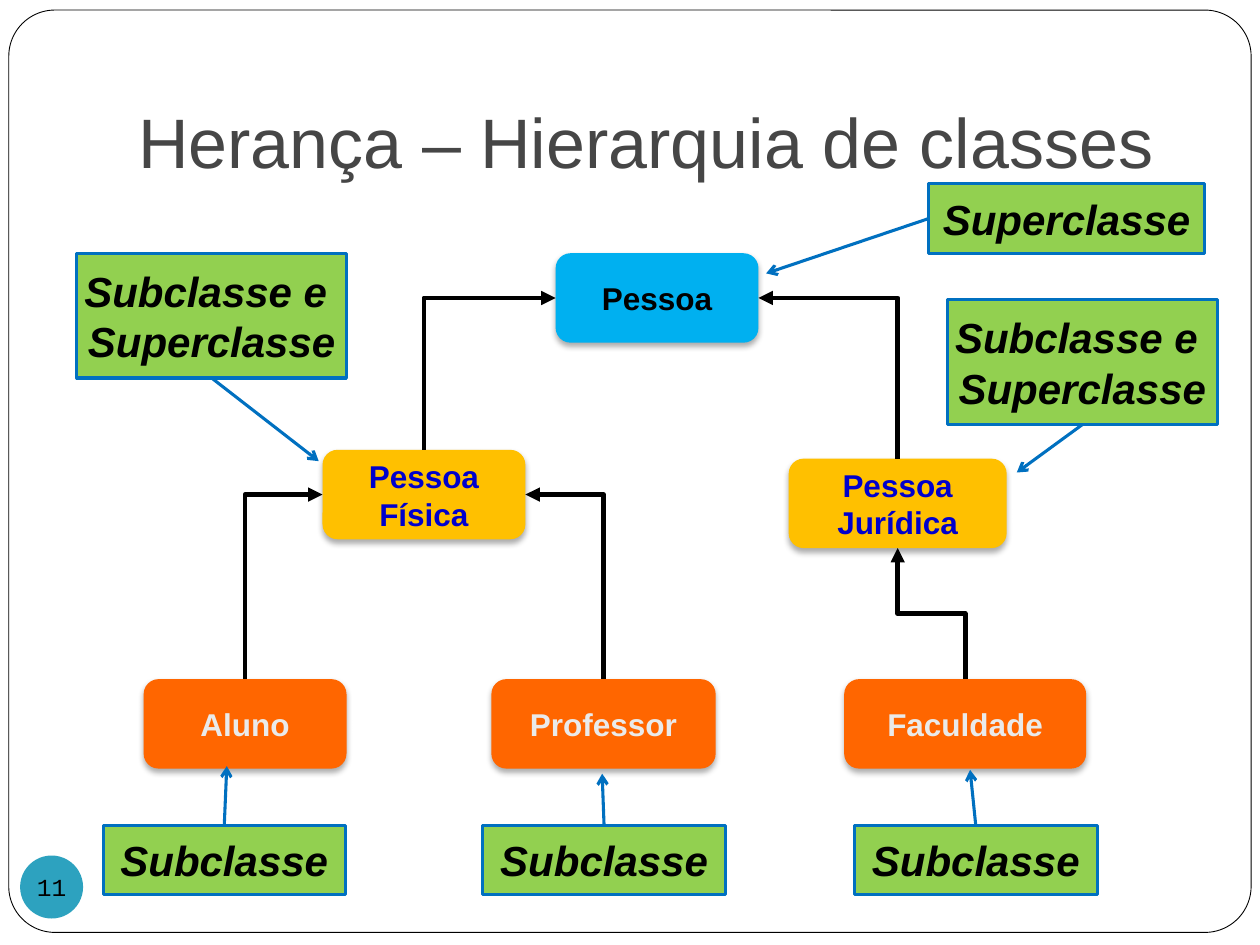
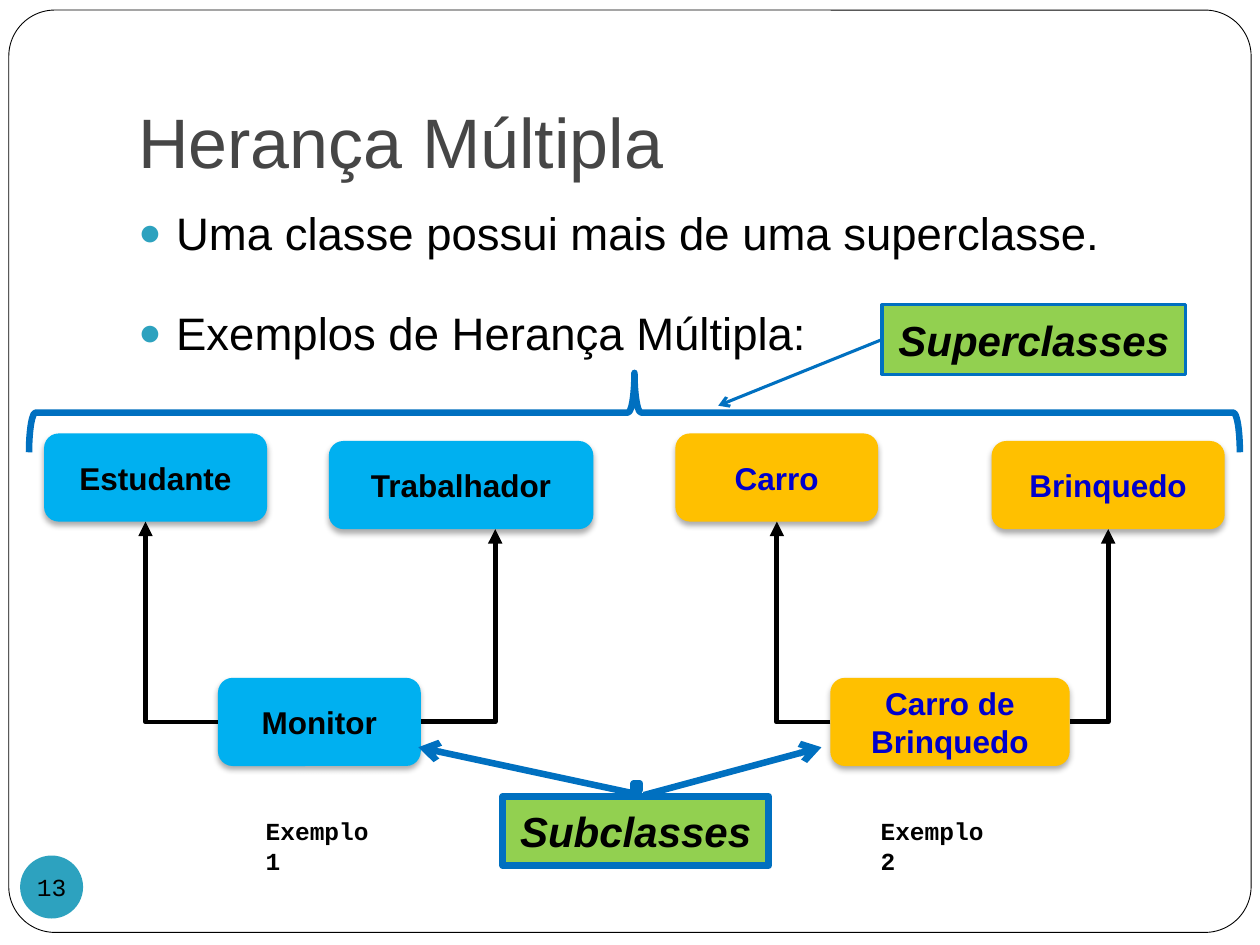
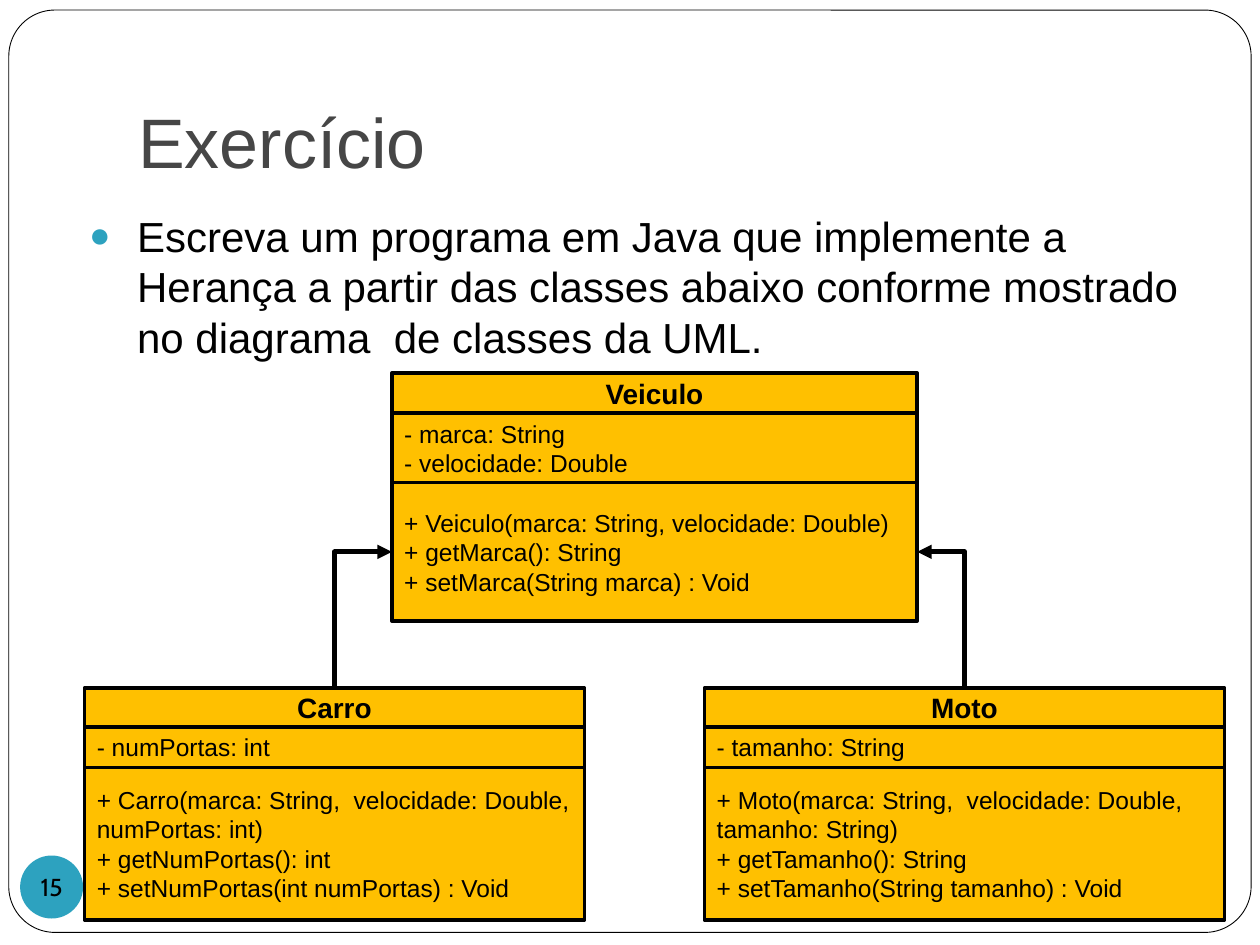
from dataclasses import dataclass
from typing import NamedTuple

from lxml import etree
from pptx import Presentation
from pptx.dml.color import RGBColor
from pptx.enum.shapes import MSO_CONNECTOR as CONNECTOR, MSO_SHAPE as SHAPE
from pptx.enum.text import MSO_ANCHOR as ANCHOR, PP_ALIGN as ALIGN
from pptx.oxml.ns import qn
from pptx.util import Inches, Pt


@dataclass(frozen=True)
class Theme:
    white: str = "FFFFFF"
    black: str = "000000"
    title: str = "464646"
    accent: str = "2DA2BF"
    sky: str = "00B0F0"
    amber: str = "FFC000"
    orange: str = "FF6600"
    navy: str = "0000CC"
    pale: str = "EAEAEA"
    green: str = "92D050"
    blue: str = "0070C0"
    font: str = "Arial"
    mono: str = "Courier New"
    number_font: str = "Cabin"
    title_size: float = 40
    callout_size: float = 24
    node_size: float = 18
    class_size: float = 16
    small_size: float = 14
    body_gap: float = 5.8


THEME = Theme()


class Box(NamedTuple):
    left: float
    top: float
    width: float
    height: float

    def side(self, name, shift=0):
        """Middle of a side, optionally shifted sideways."""
        x, y = {"top": (0.5, 0), "left": (0, 0.5),
                "bottom": (0.5, 1), "right": (1, 0.5)}[name]
        return self.left + x * self.width + shift, self.top + y * self.height


FRAME = Box(0.07, 0.08, 9.86, 7.32)
TITLE = Box(1, 0.3, 8.5, 1.25)
PAGE_NUMBER = Box(0.16, 6.79, 0.5, 0.5)

# Node styles: fill, text colour
ROOT = (THEME.sky, THEME.black)
MIDDLE = (THEME.amber, THEME.navy)
LEAF = (THEME.orange, THEME.pale)

# Content: class hierarchy
HIERARCHY_NODES = [
    (["Pessoa"], Box(4.41, 2.01, 1.61, 0.71), ROOT),
    (["Pessoa", "Física"], Box(2.56, 3.57, 1.61, 0.71), MIDDLE),
    (["Pessoa", "Jurídica"], Box(6.26, 3.64, 1.73, 0.71), MIDDLE),
    (["Aluno"], Box(1.14, 5.39, 1.61, 0.71), LEAF),
    (["Professor"], Box(3.9, 5.39, 1.78, 0.71), LEAF),
    (["Faculdade"], Box(6.7, 5.39, 1.92, 0.71), LEAF),
]
# child, side, parent, side, sideways shift of the arrowhead
HIERARCHY_LINKS = [
    ("Pessoa Física", "top", "Pessoa", "left", 0),
    ("Pessoa Jurídica", "top", "Pessoa", "right", 0),
    ("Aluno", "top", "Pessoa Física", "left", 0),
    ("Professor", "top", "Pessoa Física", "right", 0),
    ("Faculdade", "top", "Pessoa Jurídica", "bottom", 0),
]
BOTH_ROLES = ["Subclasse e ", "Superclasse"]
# text, box, side where the pointer leaves, pointer tip
HIERARCHY_CALLOUTS = [
    (["Superclasse"], Box(7.37, 1.46, 2.19, 0.55), "left", (6.08, 2.17)),
    (BOTH_ROLES, Box(0.61, 2.01, 2.14, 0.99), "bottom", (2.53, 3.66)),
    (BOTH_ROLES, Box(7.52, 2.38, 2.14, 0.99), "bottom", (8.07, 3.75)),
    (["Subclasse"], Box(0.82, 6.55, 1.92, 0.55), "top", (1.8, 6.08)),
    (["Subclasse"], Box(3.83, 6.55, 1.93, 0.55), "top", (4.78, 6.14)),
    (["Subclasse"], Box(6.78, 6.55, 1.93, 0.55), "top", (7.7, 6.11)),
]

# Content: multiple inheritance
MULTIPLE_POINTS = ["Uma classe possui mais de uma superclasse.",
                   "Exemplos de Herança Múltipla:"]
MULTIPLE_NODES = [
    (["Estudante"], Box(0.35, 3.44, 1.77, 0.7), ROOT),
    (["Trabalhador"], Box(2.61, 3.5, 2.1, 0.7), ROOT),
    (["Monitor"], Box(1.73, 5.38, 1.61, 0.7), ROOT),
    (["Carro"], Box(5.36, 3.44, 1.61, 0.7), MIDDLE),
    (["Brinquedo"], Box(7.87, 3.5, 1.85, 0.7), MIDDLE),
    (["Carro de Brinquedo"], Box(6.59, 5.38, 1.9, 0.7), MIDDLE),
]
MULTIPLE_LINKS = [
    ("Monitor", "left", "Estudante", "bottom", -0.08),
    ("Monitor", "right", "Trabalhador", "bottom", 0.27),
    ("Carro de Brinquedo", "left", "Carro", "bottom", 0),
    ("Carro de Brinquedo", "right", "Brinquedo", "bottom", 0),
]
EXAMPLES = [("Exemplo 1", 2.01), ("Exemplo 2", 6.89)]

# Content: exercise
EXERCISE = ("Escreva um programa em Java que implemente a Herança a partir das "
            "classes abaixo conforme mostrado no diagrama  de classes da UML.")
# name, left, top, width, compartment heights, attributes, methods
UML_CLASSES = [
    ("Veiculo", 3.11, 2.96, 4.17, (0.32, 0.55, 1.1),
     ["- marca: String", "- velocidade: Double"],
     ["+ Veiculo(marca: String, velocidade: Double)",
      "+ getMarca(): String", "+ setMarca(String marca) : Void"]),
    ("Moto", 5.59, 5.46, 4.13, (0.31, 0.32, 1.21),
     ["- tamanho: String"],
     ["+ Moto(marca: String,  velocidade: Double, tamanho: String)",
      "+ getTamanho(): String", "+ setTamanho(String tamanho) : Void"]),
    ("Carro", 0.67, 5.46, 3.97, (0.31, 0.32, 1.21),
     ["- numPortas: int"],
     ["+ Carro(marca: String,  velocidade: Double, numPortas: int)",
      "+ getNumPortas(): int", "+ setNumPortas(int numPortas) : Void"]),
]
UML_LINKS = [("Carro", "left"), ("Moto", "right")]


def rgb(code):
    return RGBColor.from_string(code)


def add_xml(parent, tag, **attributes):
    return etree.SubElement(parent, qn(tag), attributes)


def emu(box):
    return [Inches(length) for length in box]


def write(shape, lines, *, size, color=THEME.black, font=THEME.font, bold=False,
          italic=False, align=ALIGN.LEFT, anchor=ANCHOR.MIDDLE, wrap=True,
          insets=(0.1, 0.05, 0.1, 0.05), gaps=None):
    """Put one paragraph per line into a shape; gaps are points before each."""
    frame = shape.text_frame
    frame.word_wrap = wrap
    frame.vertical_anchor = anchor
    (frame.margin_left, frame.margin_top,
     frame.margin_right, frame.margin_bottom) = emu(insets)
    for index, line in enumerate(lines):
        paragraph = frame.add_paragraph() if index else frame.paragraphs[0]
        paragraph.alignment = align
        if gaps:
            paragraph.space_before = Pt(gaps[index])
        run = paragraph.add_run()
        run.text = line
        run.font.size = Pt(size)
        run.font.name = font
        run.font.bold = bold
        run.font.italic = italic
        run.font.color.rgb = rgb(color)
    return shape


def add_text(slide, box, lines, **text_format):
    return write(slide.shapes.add_textbox(*emu(box)), lines, **text_format)


def add_block(slide, kind, box, fill=None, line=None, weight=1):
    block = slide.shapes.add_shape(kind, *emu(box))
    block.shadow.inherit = False
    if fill:
        block.fill.solid()
        block.fill.fore_color.rgb = rgb(fill)
    else:
        block.fill.background()
    if line:
        block.line.color.rgb = rgb(line)
        block.line.width = Pt(weight)
    else:
        block.line.fill.background()
    return block


def add_arrowhead(shape, kind):
    add_xml(shape.line._get_or_add_ln(), "a:tailEnd", type=kind)


def add_bullets(slide, box, lines, *, size, hang, indent, gaps):
    body = add_text(slide, box, lines, size=size, anchor=ANCHOR.TOP, gaps=gaps)
    for paragraph in body.text_frame.paragraphs:
        properties = paragraph._p.get_or_add_pPr()
        properties.set("marL", str(Inches(indent)))
        properties.set("indent", str(-Inches(hang)))
        add_xml(add_xml(properties, "a:buClr"), "a:srgbClr", val=THEME.accent)
        add_xml(properties, "a:buSzPct", val="85000")
        add_xml(properties, "a:buFont", typeface=THEME.font)
        add_xml(properties, "a:buChar", char="●")


def add_node(slide, lines, box, style):
    fill, color = style
    node = add_block(slide, SHAPE.ROUNDED_RECTANGLE, box, fill)
    effects = node._element.spPr.find(qn("a:effectLst"))
    shadow = add_xml(effects, "a:outerShdw", blurRad=str(Pt(3.5)),
                     dist=str(Pt(2.2)), dir="5400000", rotWithShape="0")
    add_xml(add_xml(shadow, "a:srgbClr", val=THEME.black), "a:alpha", val="32000")
    write(node, lines, size=THEME.node_size, color=color, bold=True,
          align=ALIGN.CENTER)


def add_callout(slide, lines, box, start, tip, fill=THEME.green, weight=1.75):
    callout = add_block(slide, SHAPE.LINE_CALLOUT_1, box, fill, THEME.blue, weight)
    ratios = [ratio for x, y in (start, tip)
              for ratio in ((y - box.top) / box.height, (x - box.left) / box.width)]
    for index, ratio in enumerate(ratios):
        callout.adjustments[index] = ratio
    add_arrowhead(callout, "arrow")
    if lines:
        write(callout, lines, size=THEME.callout_size, bold=True, italic=True,
              align=ALIGN.CENTER, wrap=False)


def add_elbow(slide, start, end, bends=1, upright=True):
    """Elbow arrow going up; upright ones leave their start vertically."""
    (x1, y1), (x2, y2) = start, end
    link = slide.shapes.add_connector(CONNECTOR.ELBOW, *emu((x1, y1, x2, y2)))
    link.line.color.rgb = rgb(THEME.black)
    link.line.width = Pt(2.75)
    add_arrowhead(link, "triangle")
    properties = link._element.spPr
    add_xml(properties, "a:effectLst")
    properties.find(qn("a:prstGeom")).set("prst", f"bentConnector{bends + 1}")

    # The preset leaves its start horizontally, so upright ones are turned
    leftward = x2 < x1
    width, height = abs(x2 - x1), abs(y2 - y1)
    if upright:
        width, height = height, width
        turn, flip = 270, leftward
    else:
        turn, flip = (180, False) if leftward else (0, True)
    link.left, link.top, link.width, link.height = emu(
        ((x1 + x2 - width) / 2, (y1 + y2 - height) / 2, width, height))
    transform = properties.find(qn("a:xfrm"))
    transform.set("rot", str(turn * 60000))
    transform.set("flipH", "0")
    transform.set("flipV", str(int(flip)))


def add_diagram(slide, nodes, links):
    boxes = {" ".join(lines): box for lines, box, _ in nodes}
    for node in nodes:
        add_node(slide, *node)
    for child, leaving, parent, arriving, shift in links:
        upright = leaving == "top"
        add_elbow(slide, boxes[child].side(leaving),
                  boxes[parent].side(arriving, shift),
                  bends=2 if upright and arriving == "bottom" else 1,
                  upright=upright)


def add_uml_class(slide, name, left, top, width, heights, attributes, methods):
    """Draw the three stacked compartments and return their boxes."""
    boxes = []
    for lines, height in zip(([name], attributes, methods), heights):
        box = Box(left, top, width, height)
        part = add_block(slide, SHAPE.RECTANGLE, box, THEME.amber, THEME.black, 2)
        heading = not boxes
        write(part, lines, bold=heading,
              size=THEME.class_size if heading else THEME.small_size,
              align=ALIGN.CENTER if heading else ALIGN.LEFT)
        boxes.append(box)
        top += height
    return boxes


def add_page(deck, title, number, number_font=THEME.mono):
    slide = deck.slides.add_slide(deck.slide_layouts[6])
    frame = add_block(slide, SHAPE.ROUNDED_RECTANGLE, FRAME, THEME.white,
                      THEME.black, 0.5)
    frame.adjustments[0] = 0.05
    add_text(slide, TITLE, [title], size=THEME.title_size, color=THEME.title,
             anchor=ANCHOR.BOTTOM, insets=(0.1, 0.05, 0.1, 0.1))
    badge = add_block(slide, SHAPE.OVAL, PAGE_NUMBER, THEME.accent)
    write(badge, [number], size=THEME.small_size, font=number_font,
          align=ALIGN.CENTER, wrap=False, insets=(0, 0, 0, 0))
    return slide


def build_hierarchy(deck):
    slide = add_page(deck, "Herança – Hierarquia de classes", "11")
    add_diagram(slide, HIERARCHY_NODES, HIERARCHY_LINKS)
    for lines, box, side, tip in HIERARCHY_CALLOUTS:
        add_callout(slide, lines, box, box.side(side), tip)


def build_multiple(deck):
    slide = add_page(deck, "Herança Múltipla", "13")
    add_bullets(slide, Box(1, 1.58, 8.5, 5), MULTIPLE_POINTS, size=26,
                hang=0.3, indent=0.3, gaps=(THEME.body_gap, 26))
    for example, left in EXAMPLES:
        add_text(slide, Box(left, 6.43, 1.21, 0.34), [example], bold=True,
                 size=THEME.small_size, font=THEME.mono, anchor=ANCHOR.TOP)
    add_diagram(slide, MULTIPLE_NODES, MULTIPLE_LINKS)

    # Brace over the superclasses, and their label
    brace = add_block(slide, SHAPE.LEFT_BRACE, Box(4.72, -1.53, 0.63, 9.61),
                      line=THEME.blue, weight=3.75)
    brace.rotation = 90
    superclasses = Box(7, 2.42, 2.41, 0.55)
    add_callout(slide, ["Superclasses"], superclasses, superclasses.side("left"),
                (5.7, 3.22))

    # One label with two pointers, the second from a small anchor
    add_callout(slide, ["Subclasses"], Box(3.99, 6.32, 2.11, 0.55), (5.11, 6.31),
                (6.52, 5.93), weight=3.75)
    add_callout(slide, [], Box(5.03, 6.22, 0.05, 0.05), (5.09, 6.31),
                (3.32, 5.93), fill=None, weight=3.75)


def build_exercise(deck):
    slide = add_page(deck, "Exercício", "15", THEME.number_font)
    add_bullets(slide, Box(0.5, 1.62, 9.3, 4.95), [EXERCISE], size=24,
                hang=0.38, indent=0.49, gaps=(THEME.body_gap,))
    parts = {uml[0]: add_uml_class(slide, *uml) for uml in UML_CLASSES}
    parent_methods = parts["Veiculo"][-1]
    for child, side in UML_LINKS:
        add_elbow(slide, parts[child][0].side("top"), parent_methods.side(side))


def main():
    deck = Presentation()
    deck.slide_width, deck.slide_height = Inches(10), Inches(7.5)
    build_hierarchy(deck)
    build_multiple(deck)
    build_exercise(deck)
    deck.save("out.pptx")


if __name__ == "__main__":
    main()
